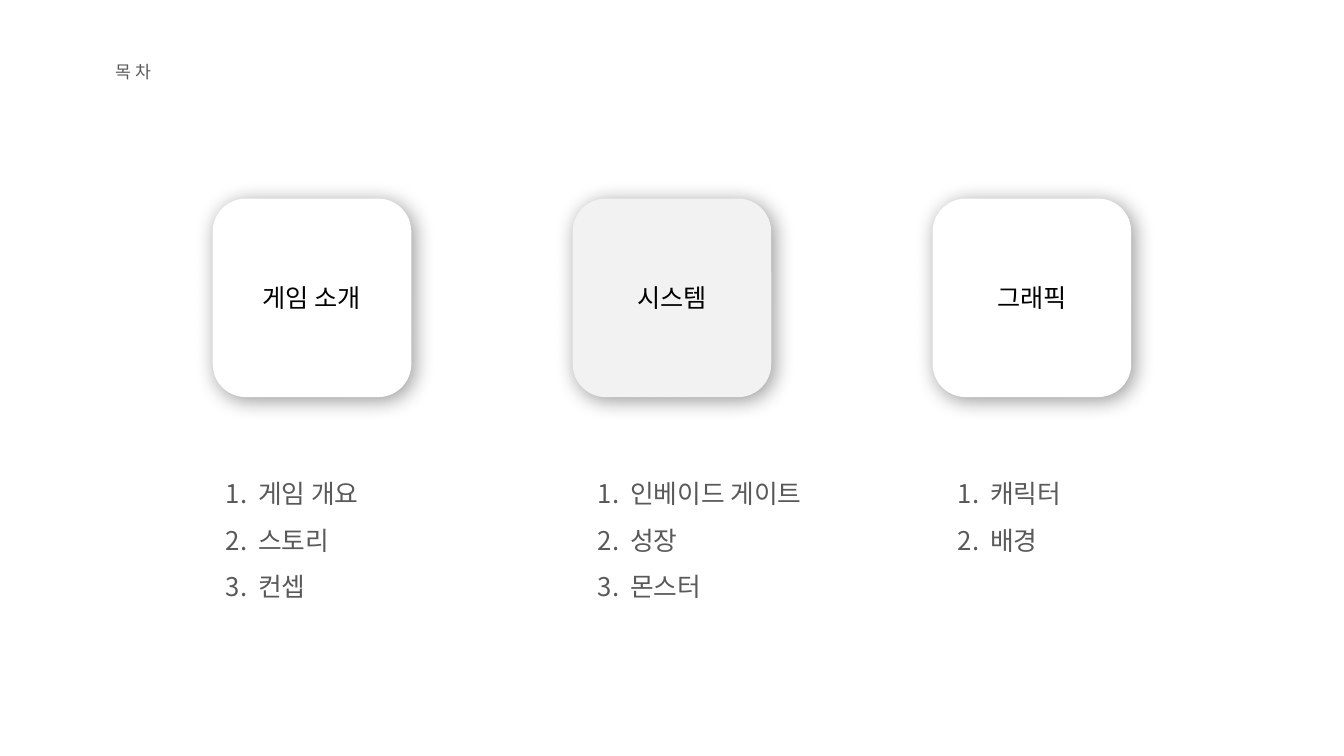
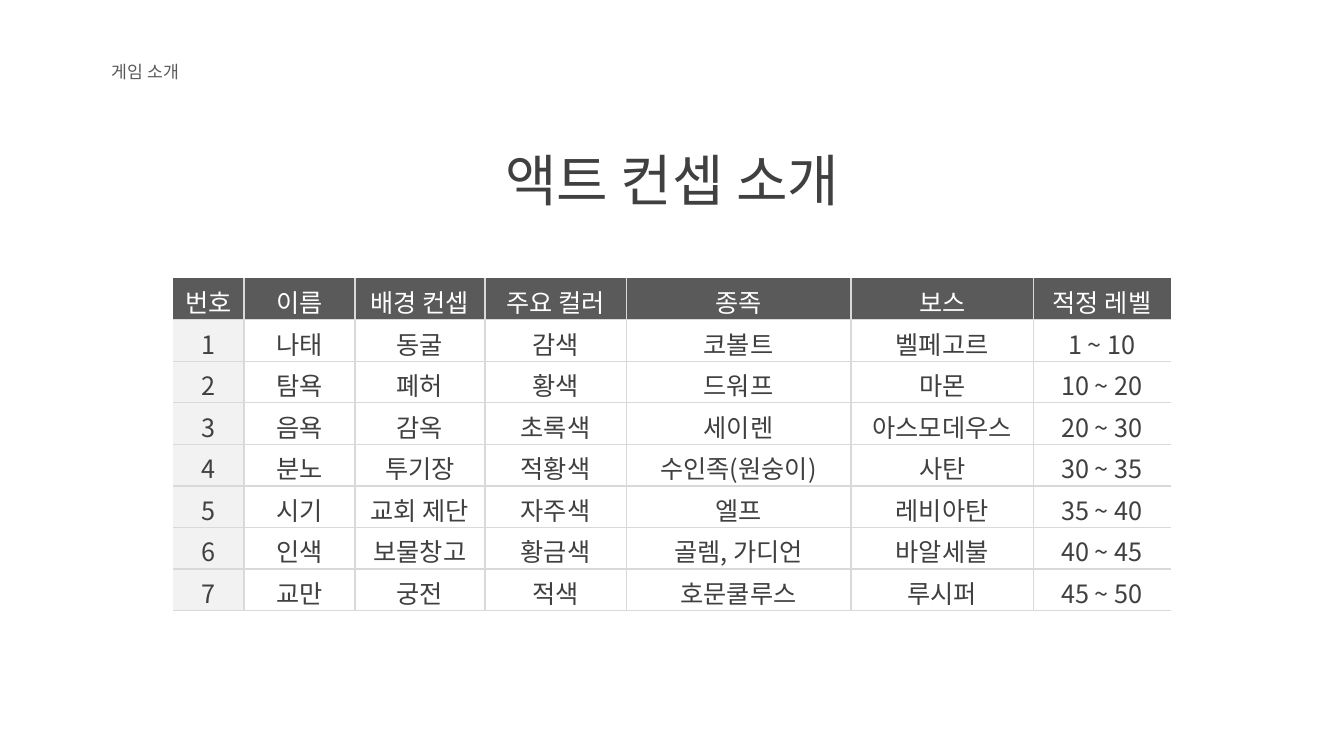
from lxml.etree import SubElement
from pptx import Presentation
from pptx.dml.color import RGBColor
from pptx.enum.shapes import MSO_SHAPE
from pptx.enum.text import MSO_ANCHOR, MSO_AUTO_SIZE, PP_ALIGN
from pptx.oxml.ns import qn
from pptx.util import Inches, Pt

FONT = "Noto Sans CJK KR"
WHITE = RGBColor(0xFF, 0xFF, 0xFF)
BLACK = RGBColor(0x00, 0x00, 0x00)
PALE = RGBColor(0xF2, 0xF2, 0xF2)
RULE = RGBColor(0xD9, 0xD9, 0xD9)
HEADER = RGBColor(0x5A, 0x5A, 0x5A)
GREY = RGBColor(0x59, 0x59, 0x59)
DARK = RGBColor(0x40, 0x40, 0x40)
PLAIN_TABLE = "{2D5ABB26-0587-4C30-8999-92F81FD0307C}"

CARD_LEFT, CARD_TOP, CARD_SIZE, CARD_PITCH = 2.11, 1.97, 1.97, 3.57
SECTIONS = [
    ("게임 소개", WHITE, 0, 1.97, ["게임 개요", "스토리", "컨셉"]),
    ("시스템", PALE, 0.12, 2.55, ["인베이드 게이트", "성장", "몬스터"]),
    ("그래픽", WHITE, 0.12, 1.97, ["캐릭터", "배경"]),
]
COLUMN_WIDTHS = [0.7, 1.1, 1.29, 1.4, 2.23, 1.81, 1.36]
ROW_HEIGHT = 0.41
ACTS = [
    ("번호", "이름", "배경 컨셉", "주요 컬러", "종족", "보스", "적정 레벨"),
    ("1", "나태", "동굴", "감색", "코볼트", "벨페고르", "1 ~ 10"),
    ("2", "탐욕", "폐허", "황색", "드워프", "마몬", "10 ~ 20"),
    ("3", "음욕", "감옥", "초록색", "세이렌", "아스모데우스", "20 ~ 30"),
    ("4", "분노", "투기장", "적황색", "수인족(원숭이)", "사탄", "30 ~ 35"),
    ("5", "시기", "교회 제단", "자주색", "엘프", "레비아탄", "35 ~ 40"),
    ("6", "인색", "보물창고", "황금색", "골렘, 가디언", "바알세불", "40 ~ 45"),
    ("7", "교만", "궁전", "적색", "호문쿨루스", "루시퍼", "45 ~ 50"),
]


def style_para(para, size, color, align=PP_ALIGN.LEFT):
    """Set alignment and one font for Latin and Korean text."""
    para.alignment = align
    para.space_before = Pt(0)
    font = para.font
    font.size, font.bold, font.name = Pt(size), False, FONT
    font.color.rgb = color
    SubElement(font._element, qn("a:ea"), typeface=FONT)


def set_text(box, lines, at, size, color, align=PP_ALIGN.LEFT):
    """Place a text box or placeholder and fill it with paragraphs."""
    box.left, box.top, box.width, box.height = map(Inches, at)
    frame = box.text_frame
    frame.text = "\n".join(lines)
    frame.word_wrap = True
    frame.auto_size = MSO_AUTO_SIZE.NONE
    frame.vertical_anchor = MSO_ANCHOR.TOP
    frame.margin_left = frame.margin_right = Inches(0.13)
    frame.margin_top = frame.margin_bottom = Inches(0.06)
    for para in frame.paragraphs:
        style_para(para, size, color, align)


def set_label(box, text, left):
    """Format the small label at the top left of every slide."""
    set_text(box, [text], (left, 0.55, 1.85, 0.33), 12.3, GREY)


def set_numbered_list(box, items, left, width):
    """Format a placeholder as a numbered list."""
    height = 0.1 + 0.45 * len(items)
    set_text(box, items, (left, 4.53, width, height), 18.4, GREY)
    for para in box.text_frame.paragraphs:
        para.line_spacing = 1.5
        properties = para._p.get_or_add_pPr()
        properties.set("marL", str(Inches(0.32)))
        properties.set("indent", str(-Inches(0.32)))
        number = SubElement(properties, qn("a:buAutoNum"), type="arabicPeriod")
        para.font._element.addprevious(number)


def add_soft_shadow(shape):
    """Give a shape a blurred shadow towards the lower right."""
    effects = SubElement(shape._element.spPr, qn("a:effectLst"))
    shadow = SubElement(effects, qn("a:outerShdw"), blurRad=str(Pt(15)),
                        dist=str(Pt(3)), dir="2700000", algn="tl", rotWithShape="0")
    color = SubElement(shadow, qn("a:srgbClr"), val=str(BLACK))
    SubElement(color, qn("a:alpha"), val="40000")


def add_card(page, text, left, fill):
    """Add a rounded card with a centred caption."""
    card = page.shapes.add_shape(MSO_SHAPE.ROUNDED_RECTANGLE, Inches(left),
                                 Inches(CARD_TOP), Inches(CARD_SIZE), Inches(CARD_SIZE))
    card.fill.solid()
    card.fill.fore_color.rgb = fill
    card.line.fill.background()
    add_soft_shadow(card)
    card.text_frame.text = text
    card.text_frame.vertical_anchor = MSO_ANCHOR.MIDDLE
    style_para(card.text_frame.paragraphs[0], 18, BLACK, PP_ALIGN.CENTER)


def add_border(cell, side):
    """Rule one side of a table cell."""
    line = SubElement(cell._tc.get_or_add_tcPr(), qn(f"a:{side}"), w=str(Pt(1)))
    fill = SubElement(line, qn("a:solidFill"))
    SubElement(fill, qn("a:srgbClr"), val=str(RULE))


def format_cell(cell, text, row, column):
    """Fill, rule and caption a cell according to its place in the grid."""
    sides = {"lnL": column > 0, "lnR": column < len(COLUMN_WIDTHS) - 1,
             "lnT": row > 0, "lnB": True}
    for side, ruled in sides.items():
        if ruled:
            add_border(cell, side)
    cell.fill.solid()
    cell.fill.fore_color.rgb = HEADER if row == 0 else PALE if column == 0 else WHITE
    cell.margin_top, cell.margin_bottom = Inches(0.05), 0
    cell.text = text
    style_para(cell.text_frame.paragraphs[0], 18, DARK if row else WHITE, PP_ALIGN.CENTER)


def add_act_table(page, left, top):
    """Add the table of acts."""
    frame = page.shapes.add_table(len(ACTS), len(COLUMN_WIDTHS), Inches(left), Inches(top),
                                  Inches(sum(COLUMN_WIDTHS)), Inches(ROW_HEIGHT * len(ACTS)))
    table = frame.table
    table.horz_banding = table.first_row = False
    table._tbl.tblPr.find(qn("a:tableStyleId")).text = PLAIN_TABLE
    for column, width in zip(table.columns, COLUMN_WIDTHS):
        column.width = Inches(width)
    for row, texts in enumerate(ACTS):
        table.rows[row].height = Inches(ROW_HEIGHT)
        for column, text in enumerate(texts):
            format_cell(table.cell(row, column), text, row, column)


def add_contents_slide(deck):
    """Build the contents slide with three cards and their lists."""
    page = deck.slides.add_slide(deck.slide_layouts.get_by_name("Comparison"))
    title, *bodies = list(page.placeholders)
    set_label(title, "목 차", 1.02)
    for index, (name, fill, shift, width, items) in enumerate(SECTIONS):
        left = CARD_LEFT + index * CARD_PITCH
        add_card(page, name, left, fill)
        set_numbered_list(bodies[index], items, left + shift, width)
    for spare in bodies[len(SECTIONS):]:
        spare._element.getparent().remove(spare._element)


def add_acts_slide(deck):
    """Build the slide that introduces the acts."""
    page = deck.slides.add_slide(deck.slide_layouts.get_by_name("Title Only"))
    set_label(page.shapes.add_textbox(0, 0, 0, 0), "게임 소개", 0.98)
    set_text(page.shapes.title, ["액트 컨셉 소개"], (3.99, 1.38, 5.36, 0.8), 40, DARK,
             PP_ALIGN.CENTER)
    add_act_table(page, 1.72, 2.76)


def main():
    """Build and save the deck."""
    deck = Presentation()
    deck.slide_width, deck.slide_height = Inches(13.33), Inches(7.5)
    add_contents_slide(deck)
    add_acts_slide(deck)
    deck.save("out.pptx")


if __name__ == "__main__":
    main()
